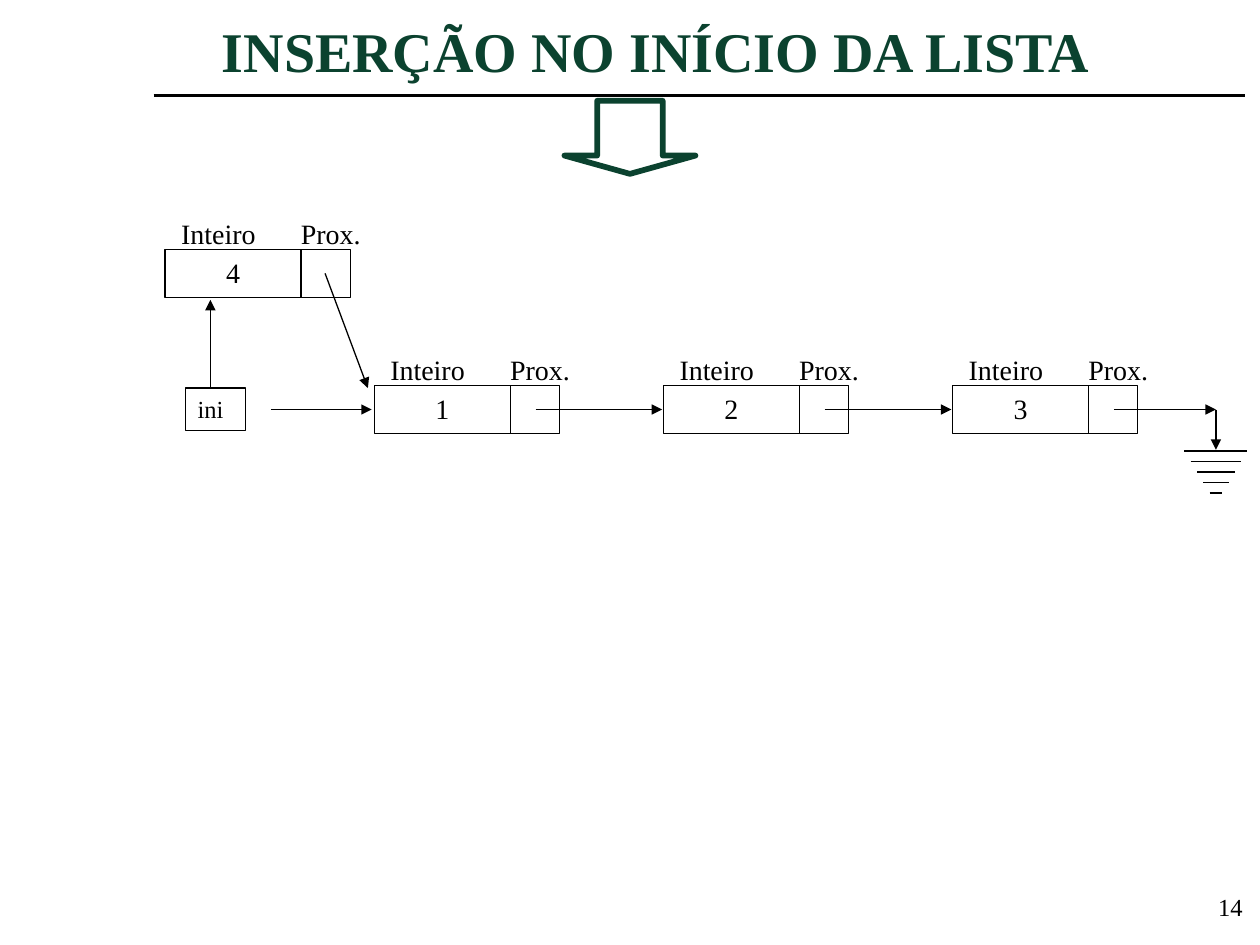
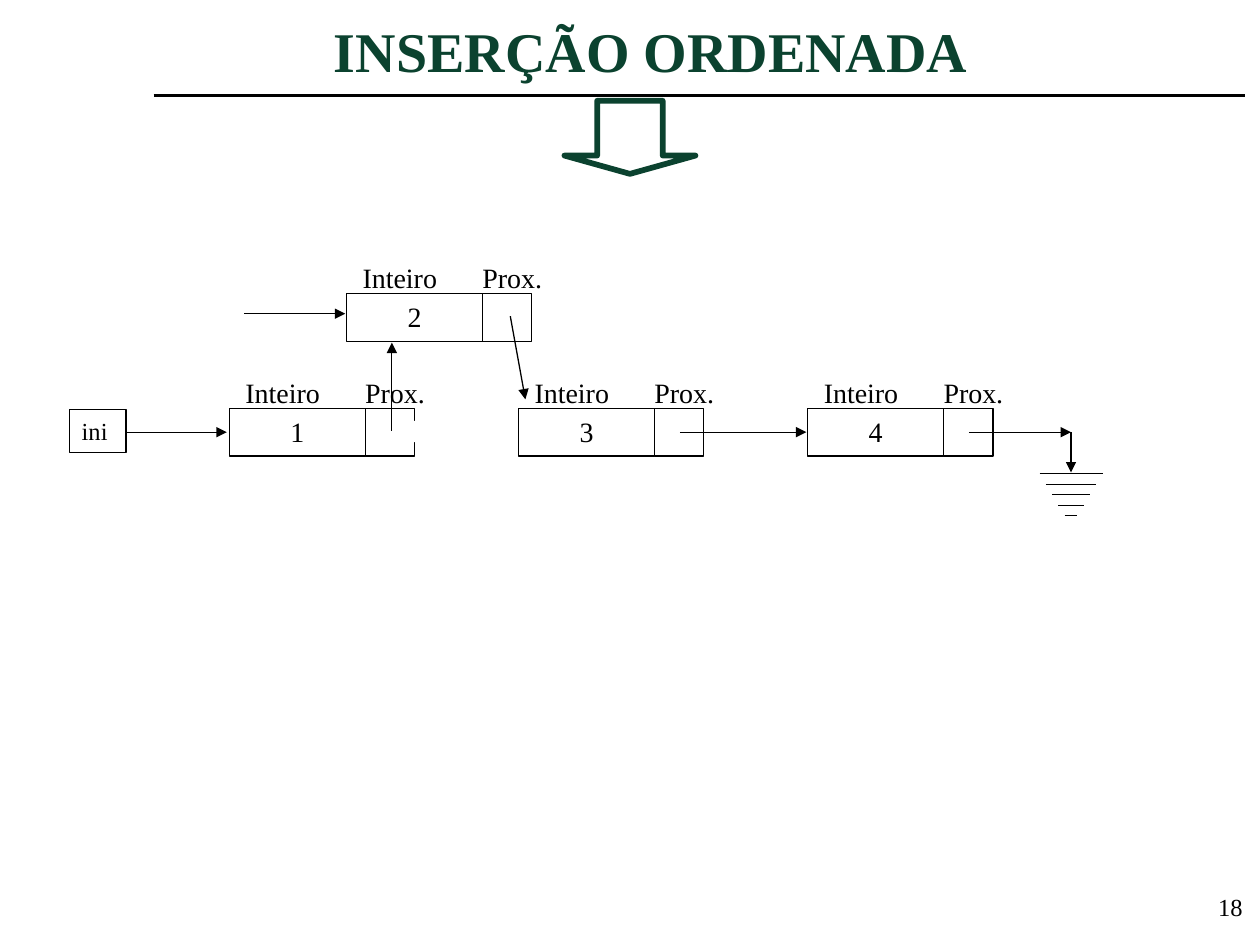
from lxml.etree import SubElement
from pptx import Presentation
from pptx.dml.color import RGBColor
from pptx.enum.shapes import MSO_CONNECTOR, MSO_SHAPE
from pptx.enum.text import MSO_ANCHOR, PP_ALIGN
from pptx.oxml.ns import qn
from pptx.util import Inches, Pt

THEME = {
    "font": "Times New Roman",
    "black": RGBColor(0x00, 0x00, 0x00),
    "green": RGBColor(0x0B, 0x42, 0x2F),
    "white": RGBColor(0xFF, 0xFF, 0xFF),
    "title": Pt(32),
    "node": Pt(16),
    "small": Pt(14),
    "thin": Pt(0.75),
    "rule": Pt(1.5),
    "bold_outline": Pt(3.25),
}

SLIDES = [
    {
        "title": "INSERÇÃO NO INÍCIO DA LISTA",
        "title_indent": 0.33,
        "number": "14",
        "chain": (2.97, 3.06),
        "values": ["1", "2", "3"],
        "linked": [True, True],
        "start": (1.47, 3.08, 0.48),
        "new_node": (1.31, 1.98, "4"),
        "gap": None,
        "arrows": [(2.58, 2.17, 2.92, 3.08), (1.67, 3.08, 1.67, 2.38)],
    },
    {
        "title": "INSERÇÃO ORDENADA",
        "title_indent": 1.22,
        "number": "18",
        "chain": (1.82, 3.24),
        "values": ["1", "3", "4"],
        "linked": [False, True],
        "start": (0.55, 3.25, 0.45),
        "new_node": (2.75, 2.33, "2"),
        "gap": (3.06, 3.34, 1.05, 0.17),
        "arrows": [
            (1.94, 2.49, 2.74, 2.49),
            (4.05, 2.51, 4.17, 3.17),
            (3.11, 3.42, 3.11, 2.72),
        ],
    },
]
NODE_STEP = 2.295


def add_box(slide, box, text="", outlined=False, align=PP_ALIGN.LEFT, wrap=True, **font):
    left, top, width, height = map(Inches, box)
    if outlined:
        shape = slide.shapes.add_shape(MSO_SHAPE.RECTANGLE, left, top, width, height)
        shape.shadow.inherit = False
        shape.fill.background()
        shape.line.color.rgb = THEME["black"]
        shape.line.width = THEME["thin"]
    else:
        shape = slide.shapes.add_textbox(left, top, width, height)
    if text:
        frame = shape.text_frame
        frame.word_wrap = wrap
        frame.vertical_anchor = MSO_ANCHOR.TOP
        paragraph = frame.paragraphs[0]
        paragraph.text = text
        paragraph.alignment = align
        paragraph.font.color.rgb = font.pop("color", THEME["black"])
        for name, value in {"name": THEME["font"], "size": THEME["node"], **font}.items():
            setattr(paragraph.font, name, value)
    return shape


def add_line(slide, points, width=THEME["thin"], arrow=False):
    connector = slide.shapes.add_connector(MSO_CONNECTOR.STRAIGHT, *map(Inches, points))
    connector.line.color.rgb = THEME["black"]
    connector.line.width = width
    if arrow:
        SubElement(connector.line._get_or_add_ln(), qn("a:tailEnd"), type="triangle")
    SubElement(connector._element.spPr, qn("a:effectLst"))


presentation = Presentation()
presentation.slide_width = Inches(10)
presentation.slide_height = Inches(7.5)

for content in SLIDES:
    slide = presentation.slides.add_slide(presentation.slide_layouts[6])
    add_line(slide, (1.22, 0.76, 9.88, 0.76), THEME["rule"])
    add_box(slide, (7.88, 7.03, 2.08, 0.5), content["number"],
            align=PP_ALIGN.RIGHT, size=THEME["small"])
    title = add_box(slide, (1.33, 0.08, 8.42, 0.64), content["title"],
                    size=THEME["title"], bold=True, color=THEME["green"])
    title.text_frame.margin_left = Inches(0.1 + content["title_indent"])

    down_arrow = slide.shapes.add_shape(
        MSO_SHAPE.DOWN_ARROW, Inches(4.48), Inches(0.8), Inches(1.04), Inches(0.58))
    down_arrow.adjustments[1] = 0.25
    down_arrow.shadow.inherit = False
    down_arrow.fill.background()
    down_arrow.line.color.rgb = THEME["green"]
    down_arrow.line.width = THEME["bold_outline"]

    chain_left, chain_top = content["chain"]
    lefts = [chain_left + NODE_STEP * index for index in range(len(content["values"]))]
    nodes = [(left, chain_top, value) for left, value in zip(lefts, content["values"])]
    for left, top, value in nodes + [content["new_node"]]:
        add_box(slide, (left, top, 1.08, 0.38), value, outlined=True, align=PP_ALIGN.CENTER)
        add_box(slide, (left + 1.08, top, 0.39, 0.38), outlined=True)
        add_box(slide, (left + 0.03, top - 0.31, 1.06, 0.37), "Inteiro")
        add_box(slide, (left + 0.98, top - 0.31, 0.73, 0.37), "Prox.", wrap=False)

    start_left, start_top, start_width = content["start"]
    add_box(slide, (start_left, start_top, start_width, 0.34), "ini",
            outlined=True, wrap=False, size=THEME["small"])

    if content["gap"]:
        gap = slide.shapes.add_shape(MSO_SHAPE.RECTANGLE, *map(Inches, content["gap"]))
        gap.shadow.inherit = False
        gap.fill.solid()
        gap.fill.fore_color.rgb = THEME["white"]
        gap.line.fill.background()

    link_y = chain_top + 0.19
    ground_x = lefts[-1] + 2.09
    ground_y = chain_top + 0.52
    arrows = [
        (chain_left - 0.82, link_y, chain_left - 0.02, link_y),
        (lefts[-1] + 1.28, link_y, ground_x, link_y),
        (ground_x, link_y, ground_x, ground_y - 0.01),
    ]
    for left, linked in zip(lefts, content["linked"]):
        if linked:
            arrows.append((left + 1.28, link_y, left + NODE_STEP - 0.01, link_y))
    for points in arrows + content["arrows"]:
        add_line(slide, points, arrow=True)

    for step in range(5):
        half = 0.25 - 0.05 * step
        bar_y = ground_y + step / 12
        add_line(slide, (ground_x - half, bar_y, ground_x + half, bar_y))

presentation.save("out.pptx")
